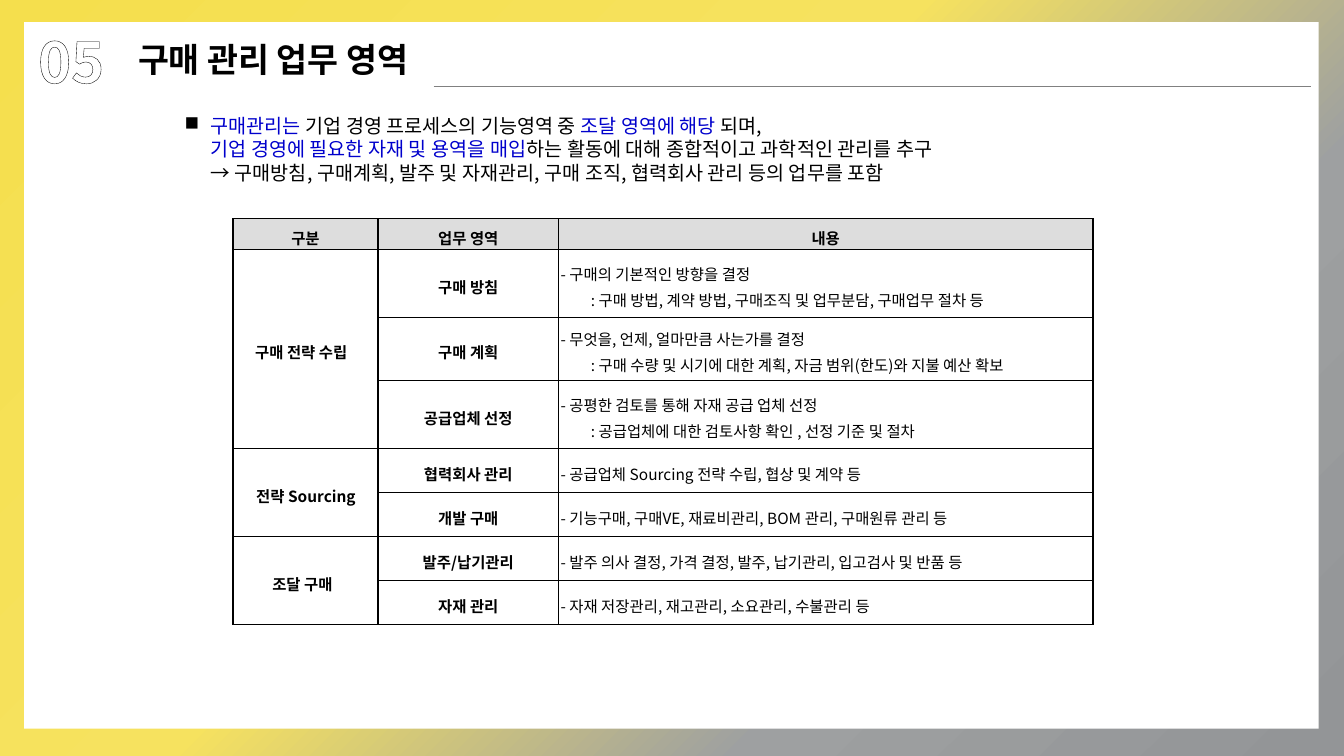
"""Build the slide on purchasing management work areas."""
from copy import deepcopy
from dataclasses import dataclass

from lxml.etree import SubElement
from pptx import Presentation
from pptx.dml.color import RGBColor
from pptx.enum.dml import MSO_PATTERN
from pptx.enum.shapes import MSO_CONNECTOR, MSO_SHAPE
from pptx.enum.text import MSO_ANCHOR, PP_ALIGN
from pptx.oxml.ns import qn
from pptx.slide import Slide
from pptx.table import _Cell
from pptx.text.text import Font, TextFrame, _Paragraph
from pptx.util import Emu, Inches, Pt

WIDTH, HEIGHT = Inches(13.33), Inches(7.5)


@dataclass(frozen=True)
class Theme:
    font: str = "Noto Sans CJK KR"
    ink: str = "000000"
    accent: str = "0000CC"
    paper: str = "FFFFFF"
    header: str = "DDDDDD"
    rule: str = "808080"
    number: str = "3B3838"
    backdrop: tuple = ((0, "F5DF4D"), (44, "F6E25F"), (71, "9EA0A1"), (100, "939597"))
    number_size: int = 40
    title_size: int = 24
    lead_size: int = 14
    table_size: int = 11


@dataclass(frozen=True)
class Box:
    """Place and size in percent of the slide."""
    left: float
    top: float
    width: float
    height: float

    def lengths(self) -> tuple:
        return across(self.left), down(self.top), across(self.width), down(self.height)


@dataclass(frozen=True)
class Area:
    name: str
    details: tuple
    height: float


@dataclass(frozen=True)
class Group:
    name: str
    indent: float
    areas: tuple


THEME = Theme()
COLUMNS = (10.8, 13.43, 39.76)
HEADINGS = ("구분", "업무 영역", "내용")
HEADING_HEIGHT, SINGLE, DOUBLE = 4.13, 5.83, 8.93
GROUPS = (
    Group("구매 전략 수립", 0.22, (
        Area("구매 방침", ("- 구매의 기본적인 방향을 결정",
                       ": 구매 방법, 계약 방법, 구매조직 및 업무분담, 구매업무 절차 등"), DOUBLE),
        Area("구매 계획", ("- 무엇을, 언제, 얼마만큼 사는가를 결정",
                       ": 구매 수량 및 시기에 대한 계획, 자금 범위(한도)와 지불 예산 확보"), 8.4),
        Area("공급업체 선정", ("- 공평한 검토를 통해 자재 공급 업체 선정",
                         ": 공급업체에 대한 검토사항 확인 , 선정 기준 및 절차"), DOUBLE))),
    Group("전략 Sourcing", 0.23, (
        Area("협력회사 관리", ("- 공급업체 Sourcing 전략 수립, 협상 및 계약 등",), SINGLE),
        Area("개발 구매", ("- 기능구매, 구매VE, 재료비관리, BOM 관리, 구매원류 관리 등",), SINGLE))),
    Group("조달 구매", 0.39, (
        Area("발주/납기관리", ("- 발주 의사 결정, 가격 결정, 발주, 납기관리, 입고검사 및 반품 등",), SINGLE),
        Area("자재 관리", ("- 자재 저장관리, 재고관리, 소요관리, 수불관리 등",), SINGLE))),
)
LEAD = (
    (("구매관리는 ", THEME.accent), ("기업 경영 프로세스의 기능영역 중 ", THEME.ink),
     ("조달 영역에 해당 ", THEME.accent), ("되며,", THEME.ink)),
    (("기업 경영에 필요한 자재 및 용역을 매입", THEME.accent),
     ("하는 활동에 대해 종합적이고 과학적인 관리를 추구", THEME.ink)),
    (("→ 구매방침, 구매계획, 발주 및 자재관리, 구매 조직, 협력회사 관리 등의 업무를 포함", THEME.ink),),
)


def across(percent: float) -> Emu:
    return Emu(round(WIDTH * percent / 100))


def down(percent: float) -> Emu:
    return Emu(round(HEIGHT * percent / 100))


def colour(value: str) -> RGBColor:
    return RGBColor.from_string(value)


def set_font(font: Font, size: float, bold: bool = False) -> None:
    font.size, font.bold, font.name = Pt(size), bold, THEME.font
    font.color.rgb = colour(THEME.ink)
    SubElement(font._element, qn("a:ea"), typeface=THEME.font)


def set_indent(paragraph: _Paragraph, left: float, first: float = 0) -> None:
    properties = paragraph._p.get_or_add_pPr()
    properties.set("marL", str(Inches(left)))
    properties.set("indent", str(Inches(first)))


def add_text_box(slide: Slide, box: Box, wrap: bool = True) -> TextFrame:
    frame = slide.shapes.add_textbox(*box.lengths()).text_frame
    frame.word_wrap = wrap
    return frame


def paint_backdrop(slide: Slide) -> None:
    fill = slide.background.fill
    fill.gradient()
    fill.gradient_angle = 315
    stops = slide.element.find(f".//{qn('a:gsLst')}")
    model = deepcopy(stops[0])
    for element in (*stops, *model):
        element.getparent().remove(element)
    for position, value in THEME.backdrop:
        stop = deepcopy(model)
        stop.set("pos", str(position * 1000))
        SubElement(stop, qn("a:srgbClr"), val=value)
        stops.append(stop)
    panel = slide.shapes.add_shape(MSO_SHAPE.RECTANGLE, *Box(1.8, 2.93, 96.32, 93.47).lengths())
    panel.shadow.inherit = False
    panel.fill.solid()
    panel.fill.fore_color.rgb = colour(THEME.paper)
    panel.line.fill.background()


def add_heading(slide: Slide) -> None:
    run = add_text_box(slide, Box(2.1, 2.93, 9.53, 10.27)).paragraphs[0].add_run()
    run.text = "05"
    set_font(run.font, THEME.number_size, True)
    run.font.fill.patterned()
    run.font.fill.pattern = MSO_PATTERN.DARK_UPWARD_DIAGONAL
    run.font.fill.fore_color.rgb = colour(THEME.number)
    run.font.fill.back_color.rgb = colour(THEME.paper)
    outline = SubElement(run.font._element, qn("a:ln"), w=str(Pt(1.25)))
    SubElement(SubElement(outline, qn("a:solidFill")), qn("a:srgbClr"), val=THEME.ink)
    run.font._element.insert(0, outline)

    title = add_text_box(slide, Box(9.53, 4.53, 24.08, 6.67), wrap=False).paragraphs[0]
    title.text = "구매 관리 업무 영역"
    set_font(title.font, THEME.title_size, True)

    rule = slide.shapes.add_connector(MSO_CONNECTOR.STRAIGHT, across(32.26), down(11.47),
                                      across(97.52), down(11.47))
    rule.line.color.rgb = colour(THEME.rule)
    rule.line.width = Pt(1)
    SubElement(rule._element.spPr, qn("a:effectLst"))


def add_lead(slide: Slide) -> None:
    frame = add_text_box(slide, Box(13.58, 14.4, 62.34, 11.6))
    frame.margin_left = frame.margin_right = frame.margin_bottom = 0
    for index, pieces in enumerate(LEAD):
        paragraph = frame.add_paragraph() if index else frame.paragraphs[0]
        set_indent(paragraph, 0.28, 0 if index else -0.26)
        if index == 0:
            properties = paragraph._p.get_or_add_pPr()
            SubElement(SubElement(properties, qn("a:buClr")), qn("a:srgbClr"), val=THEME.ink)
            SubElement(properties, qn("a:buChar"), char="■")
        set_font(paragraph.font, THEME.lead_size)
        for text, value in pieces:
            run = paragraph.add_run()
            run.text = text
            run.font.color.rgb = colour(value)


def style_cell(cell: _Cell, fill: str) -> None:
    cell.margin_left = cell.margin_right = cell.margin_bottom = 0
    cell.margin_top = Inches(0.06)
    cell.vertical_anchor = MSO_ANCHOR.MIDDLE
    for side in ("a:lnL", "a:lnR", "a:lnT", "a:lnB"):
        border = SubElement(cell._tc.get_or_add_tcPr(), qn(side), w=str(Pt(1)))
        SubElement(SubElement(border, qn("a:solidFill")), qn("a:srgbClr"), val=THEME.ink)
    cell.fill.solid()
    cell.fill.fore_color.rgb = colour(fill)


def write_label(cell: _Cell, text: str, indent: float = 0) -> None:
    paragraph = cell.text_frame.paragraphs[0]
    paragraph.text = text
    paragraph.alignment = PP_ALIGN.LEFT if indent else PP_ALIGN.CENTER
    set_indent(paragraph, indent)
    set_font(paragraph.font, THEME.table_size, True)


def write_details(cell: _Cell, lines: tuple) -> None:
    for index, text in enumerate(lines):
        paragraph = cell.text_frame.add_paragraph() if index else cell.text_frame.paragraphs[0]
        paragraph.text = text
        paragraph.space_before = Pt(2.6 if index else 0)
        set_indent(paragraph, 0.32 if index else 0.02)
        set_font(paragraph.font, THEME.table_size)


def add_area_table(slide: Slide) -> None:
    heights = [HEADING_HEIGHT, *(area.height for group in GROUPS for area in group.areas)]
    box = Box(17.33, 28.93, sum(COLUMNS), sum(heights))
    table = slide.shapes.add_table(len(heights), len(COLUMNS), *box.lengths()).table
    table.first_row = table.horz_banding = False
    for column, width in zip(table.columns, COLUMNS):
        column.width = across(width)
    for index, height in enumerate(heights):
        table.rows[index].height = down(height)
        for cell in table.rows[index].cells:
            style_cell(cell, THEME.paper if index else THEME.header)
    for index, heading in enumerate(HEADINGS):
        write_label(table.cell(0, index), heading)
    row = 1
    for group in GROUPS:
        table.cell(row, 0).merge(table.cell(row + len(group.areas) - 1, 0))
        write_label(table.cell(row, 0), group.name, group.indent)
        for area in group.areas:
            write_label(table.cell(row, 1), area.name)
            write_details(table.cell(row, 2), area.details)
            row += 1


def main() -> None:
    presentation = Presentation()
    presentation.slide_width, presentation.slide_height = WIDTH, HEIGHT
    slide = presentation.slides.add_slide(presentation.slide_layouts[6])
    paint_backdrop(slide)
    add_heading(slide)
    add_lead(slide)
    add_area_table(slide)
    presentation.save("out.pptx")


if __name__ == "__main__":
    main()
